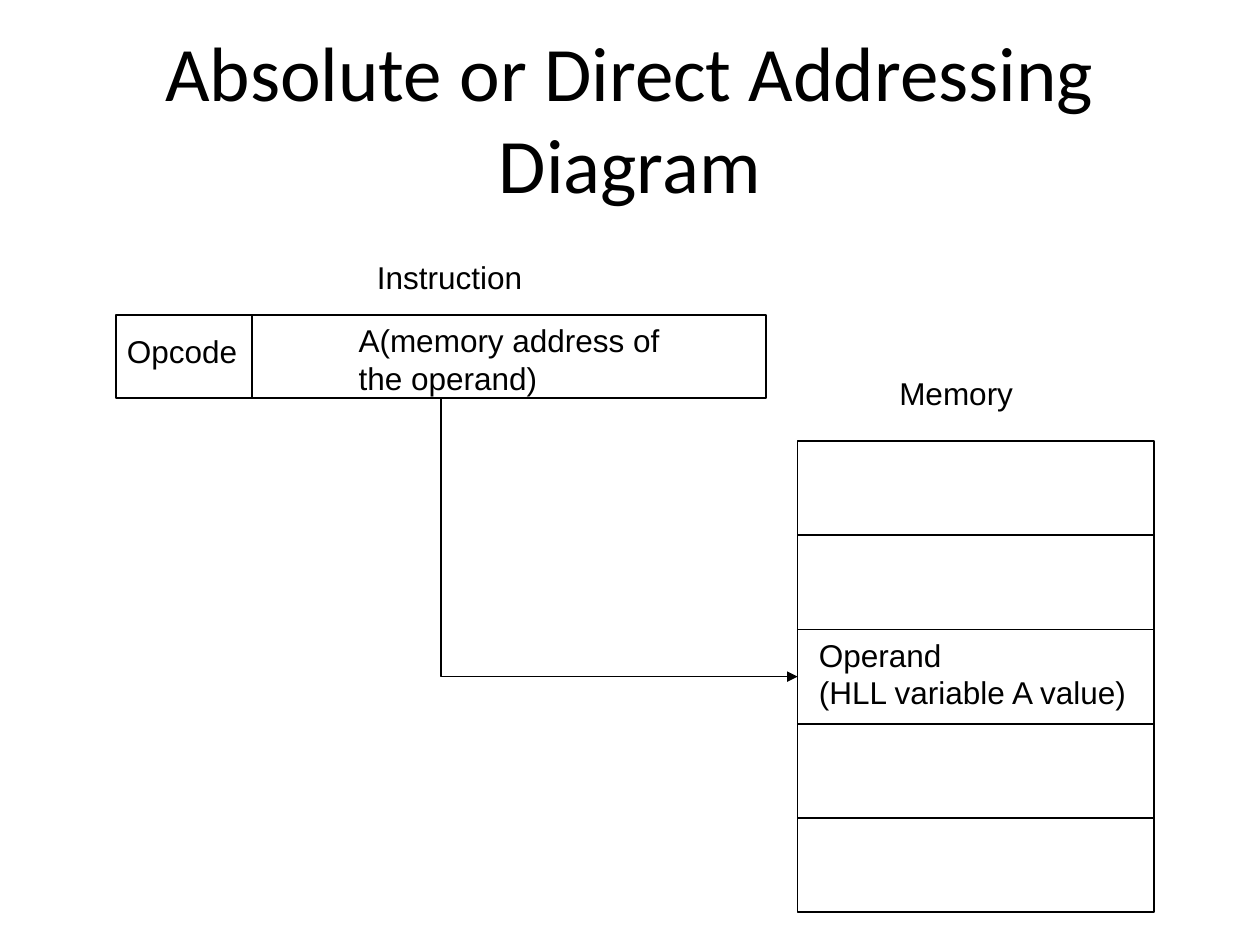
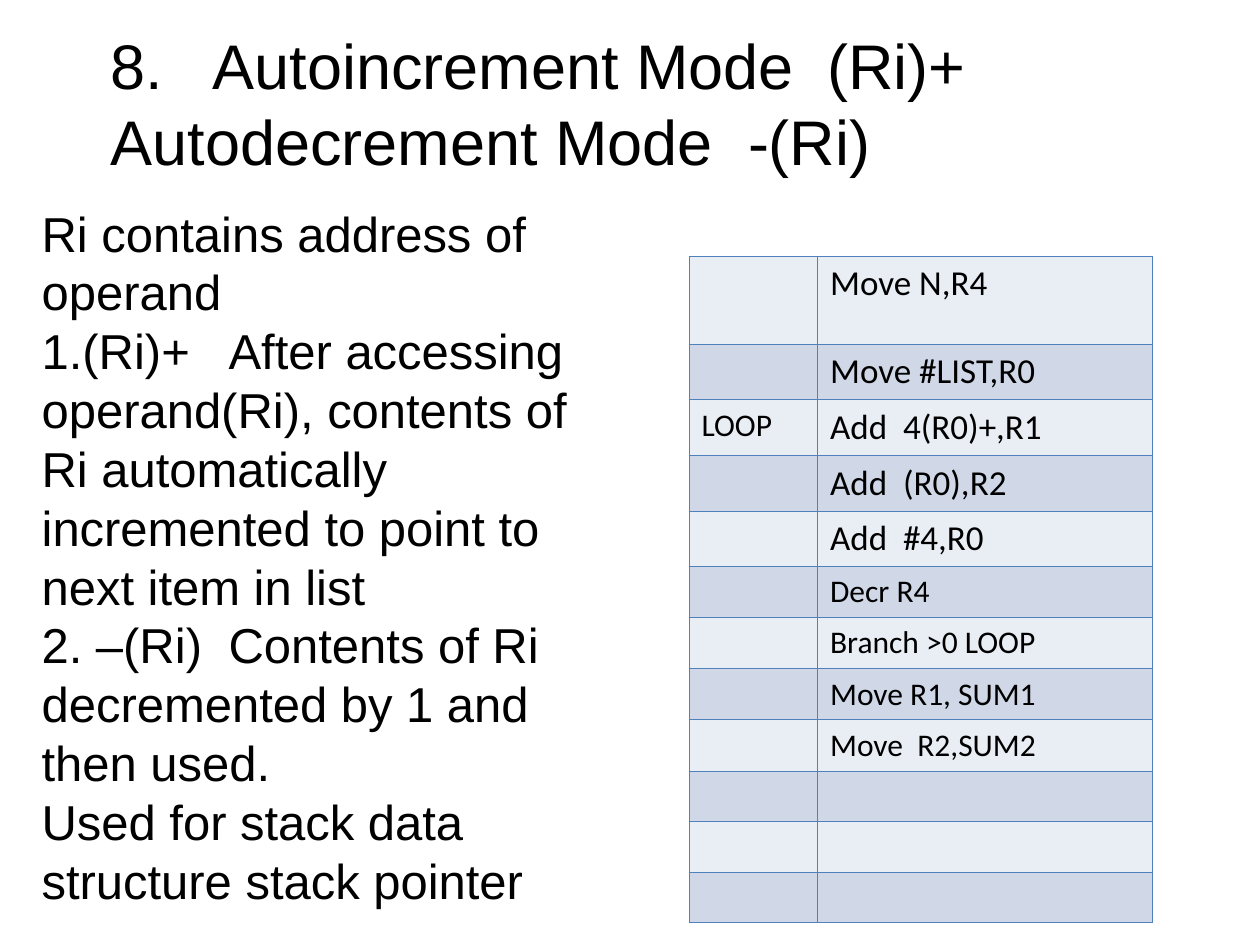
from pptx import Presentation
from pptx.dml.color import RGBColor
from pptx.enum.shapes import MSO_CONNECTOR as Connector, MSO_SHAPE as Shape
from pptx.enum.text import MSO_ANCHOR as Anchor, MSO_AUTO_SIZE as AutoSize, PP_ALIGN as Align
from pptx.oxml.ns import qn
from pptx.util import Cm, Pt
from lxml.etree import SubElement

COLORS = {"ink": "000000", "border": "4F81BD", "light": "E9EDF4", "dark": "D0D8E8"}
HEADING_FONT, BODY_FONT = "Calibri", "Arial"

INSTRUCTION = (2.34, 6.35, 13.1, 1.68)
OPCODE_EDGE = 5.08
MEMORY_LEFT, MEMORY_TOP, MEMORY_WIDTH, WORD_HEIGHT = 16.08, 8.89, 7.19, 1.9
WORD_COUNT, OPERAND_INDEX = 5, 2

PROGRAM = [
    ("", "Move N,R4"),
    ("", "Move #LIST,R0"),
    ("LOOP", ("Add\t4(R0)+,R1", 1.47)),
    ("", ("Add\t(R0),R2", 1.47)),
    ("", ("Add\t#4,R0", 1.47)),
    ("", "Decr R4"),
    ("", "Branch >0 LOOP"),
    ("", "Move R1, SUM1"),
    ("", ("Move\tR2,SUM2", 1.76)),
    ("", ""),
    ("", ""),
    ("", ""),
]
LARGE_ROWS = 5


def color(name):
    return RGBColor.from_string(COLORS[name])


def write_text(frame, lines, size=18, font=BODY_FONT, align=Align.LEFT):
    for index, line in enumerate(lines):
        text, *stops = (line,) if isinstance(line, str) else line
        paragraph = frame.add_paragraph() if index else frame.paragraphs[0]
        paragraph.alignment = align
        if stops:
            tab_list = SubElement(paragraph._p.get_or_add_pPr(), qn("a:tabLst"))
            for stop in stops:
                SubElement(tab_list, qn("a:tab"), pos=str(Cm(stop)), algn="l")
        paragraph.font.size = Pt(size)
        paragraph.font.name = font
        paragraph.font.color.rgb = color("ink")
        paragraph.add_run().text = text


def add_text(slide, place, lines, wrap=False, anchor=Anchor.TOP, **style):
    frame = slide.shapes.add_textbox(*map(Cm, place)).text_frame
    frame.word_wrap = wrap
    frame.auto_size = AutoSize.NONE if wrap else AutoSize.SHAPE_TO_FIT_TEXT
    frame.vertical_anchor = anchor
    write_text(frame, lines, **style)


def outline(shape):
    shape.line.color.rgb = color("ink")
    shape.line.width = Pt(1)


def add_box(slide, *place):
    box = slide.shapes.add_shape(Shape.RECTANGLE, *map(Cm, place))
    box.shadow.inherit = False
    box.fill.background()
    outline(box)


def add_divider(slide, x, top, bottom):
    divider = slide.shapes.add_connector(Connector.STRAIGHT, Cm(x), Cm(top), Cm(x), Cm(bottom))
    outline(divider)
    SubElement(divider._element.spPr, qn("a:effectLst"))


def add_bent_arrow(slide, start, corner, end):
    builder = slide.shapes.build_freeform(*map(Cm, start))
    builder.add_line_segments([tuple(map(Cm, point)) for point in (corner, end)], close=False)
    arrow = builder.convert_to_shape()
    arrow.shadow.inherit = False
    arrow.fill.background()
    outline(arrow)
    SubElement(arrow.line._get_or_add_ln(), qn("a:tailEnd"), type="triangle")


def style_cell(cell, fill):
    properties = cell._tc.get_or_add_tcPr()
    for side in ("lnL", "lnR", "lnT", "lnB"):
        border = SubElement(properties, qn(f"a:{side}"), w=str(Pt(0.45)))
        solid = SubElement(border, qn("a:solidFill"))
        SubElement(solid, qn("a:srgbClr"), val=COLORS["border"])
    cell.fill.solid()
    cell.fill.fore_color.rgb = color(fill)


def add_program_table(slide, left, top):
    widths = (2.59, 6.74)
    heights = [1.78] + [1.12] * (LARGE_ROWS - 1) + [1.02] * (len(PROGRAM) - LARGE_ROWS)
    table = slide.shapes.add_table(
        len(PROGRAM), len(widths), Cm(left), Cm(top), Cm(sum(widths)), Cm(sum(heights))
    ).table
    table.first_row = table.horz_banding = False
    for column, width in zip(table.columns, widths):
        column.width = Cm(width)
    for index, (row, height, entries) in enumerate(zip(table.rows, heights, PROGRAM)):
        row.height = Cm(height)
        for column, (cell, entry) in enumerate(zip(row.cells, entries)):
            style_cell(cell, "dark" if index % 2 else "light")
            size = 20 if column and index < LARGE_ROWS else 18
            write_text(cell.text_frame, [entry], size=size, font=HEADING_FONT)


def build_direct_addressing(slide):
    add_text(slide, (1.27, 0.76, 22.86, 3.18), ["Absolute or Direct Addressing Diagram"],
             wrap=True, anchor=Anchor.MIDDLE, size=44, font=HEADING_FONT, align=Align.CENTER)

    left, top, width, height = INSTRUCTION
    bottom = top + height
    add_box(slide, *INSTRUCTION)
    add_divider(slide, OPCODE_EDGE, top, bottom)
    for index in range(WORD_COUNT):
        add_box(slide, MEMORY_LEFT, MEMORY_TOP + index * WORD_HEIGHT, MEMORY_WIDTH, WORD_HEIGHT)

    operand_top = MEMORY_TOP + OPERAND_INDEX * WORD_HEIGHT
    labels = [
        ((6.98, 6.35, 6.7, 1.78), ["A(memory address of", "the operand)"]),
        ((2.31, 6.56, 2.9, 1.02), ["Opcode"]),
        ((7.35, 5.08, 3.6, 1.02), ["Instruction"]),
        ((17.88, 7.42, 3, 1.02), ["Memory"]),
        ((16.26, operand_top, 6.9, 1.78), ["Operand", "(HLL variable A value)"]),
    ]
    for place, lines in labels:
        add_text(slide, place, lines, wrap=True)

    address_x = left + width / 2
    operand_y = operand_top + WORD_HEIGHT / 2
    add_bent_arrow(slide, (address_x, bottom), (address_x, operand_y), (MEMORY_LEFT, operand_y))


def build_autoincrement(slide):
    add_program_table(slide, 13.89, 5.16)
    add_text(slide, (1.98, 0.41, 19.84, 3.3), [
        ("8.\tAutoincrement Mode\t(Ri)+", 2.06, 14.45),
        ("Autodecrement Mode\t-(Ri)", 12.85),
    ], wrap=True, size=36)
    add_text(slide, (0.59, 3.97, 11.71, 14.5), [
        "Ri contains address of operand",
        ("1.(Ri)+\tAfter accessing operand(Ri), contents of Ri automatically "
         "incremented to point to next item in list", 3.77),
        ("2. –(Ri)\tContents of Ri decremented by 1 and then used.", 3.77),
        "Used for stack data structure stack pointer",
    ], wrap=True, size=28)


def main():
    deck = Presentation()
    deck.slide_width, deck.slide_height = Cm(25.4), Cm(19.05)
    blank = deck.slide_layouts[6]
    for build in (build_direct_addressing, build_autoincrement):
        build(deck.slides.add_slide(blank))
    deck.save("out.pptx")


if __name__ == "__main__":
    main()
